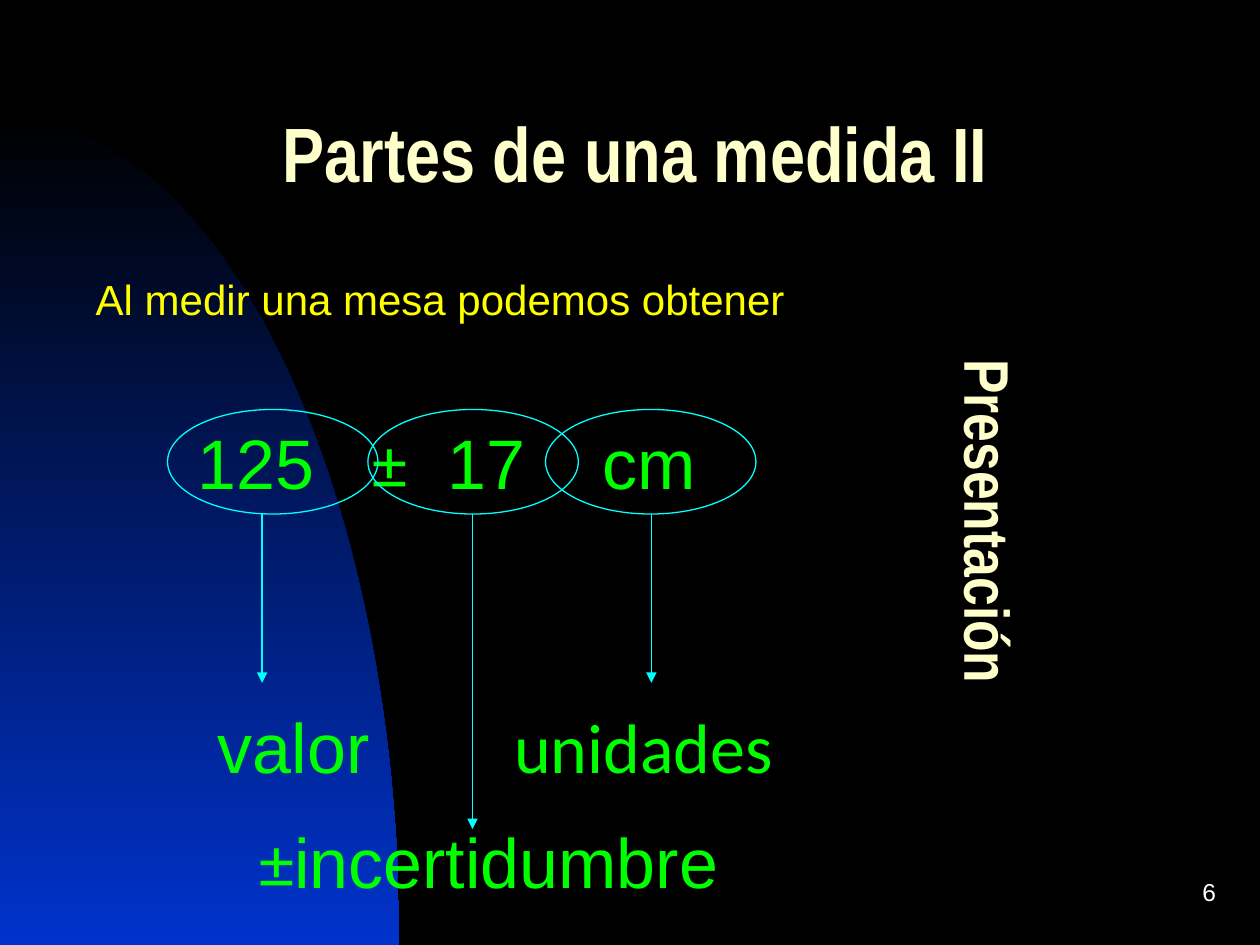
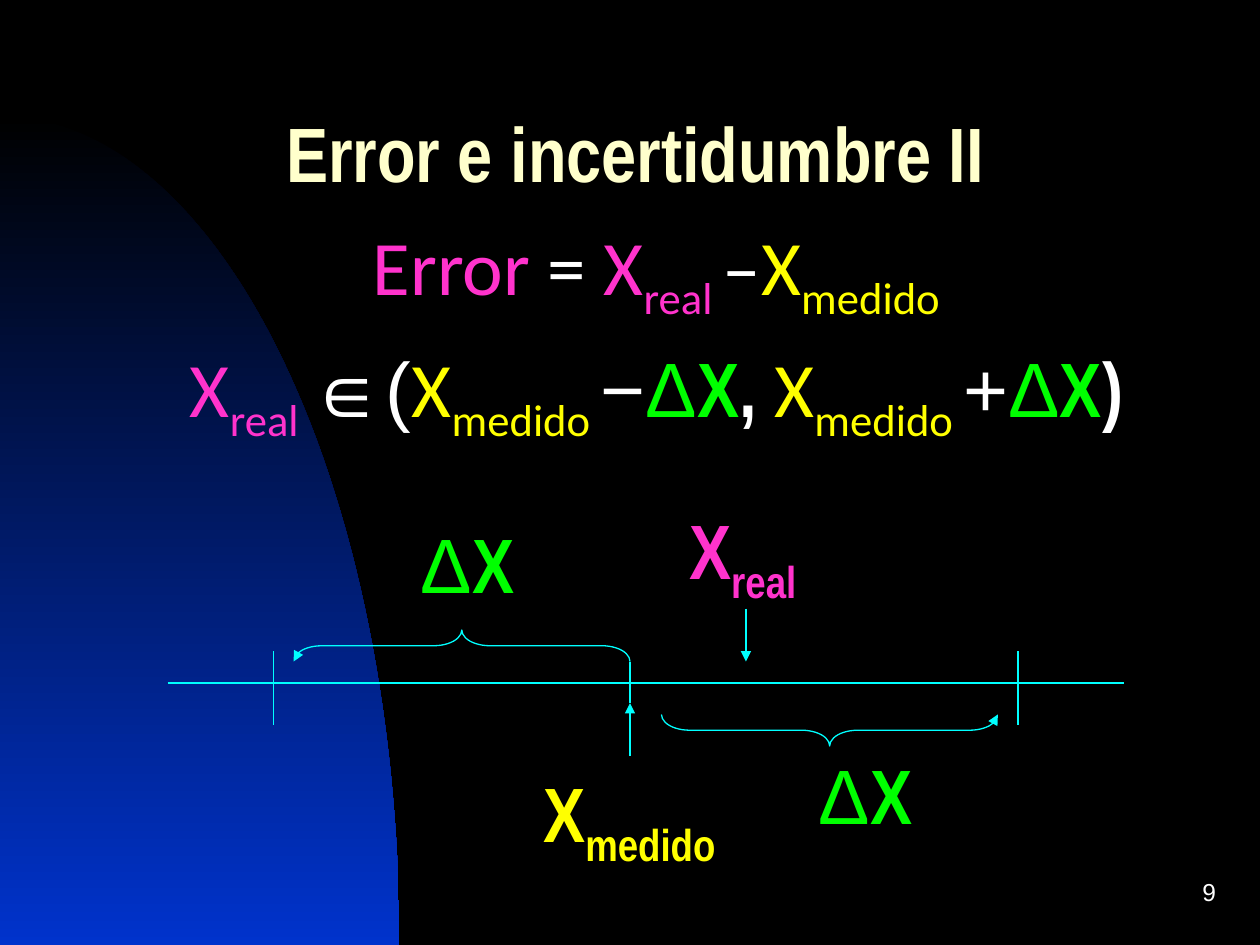
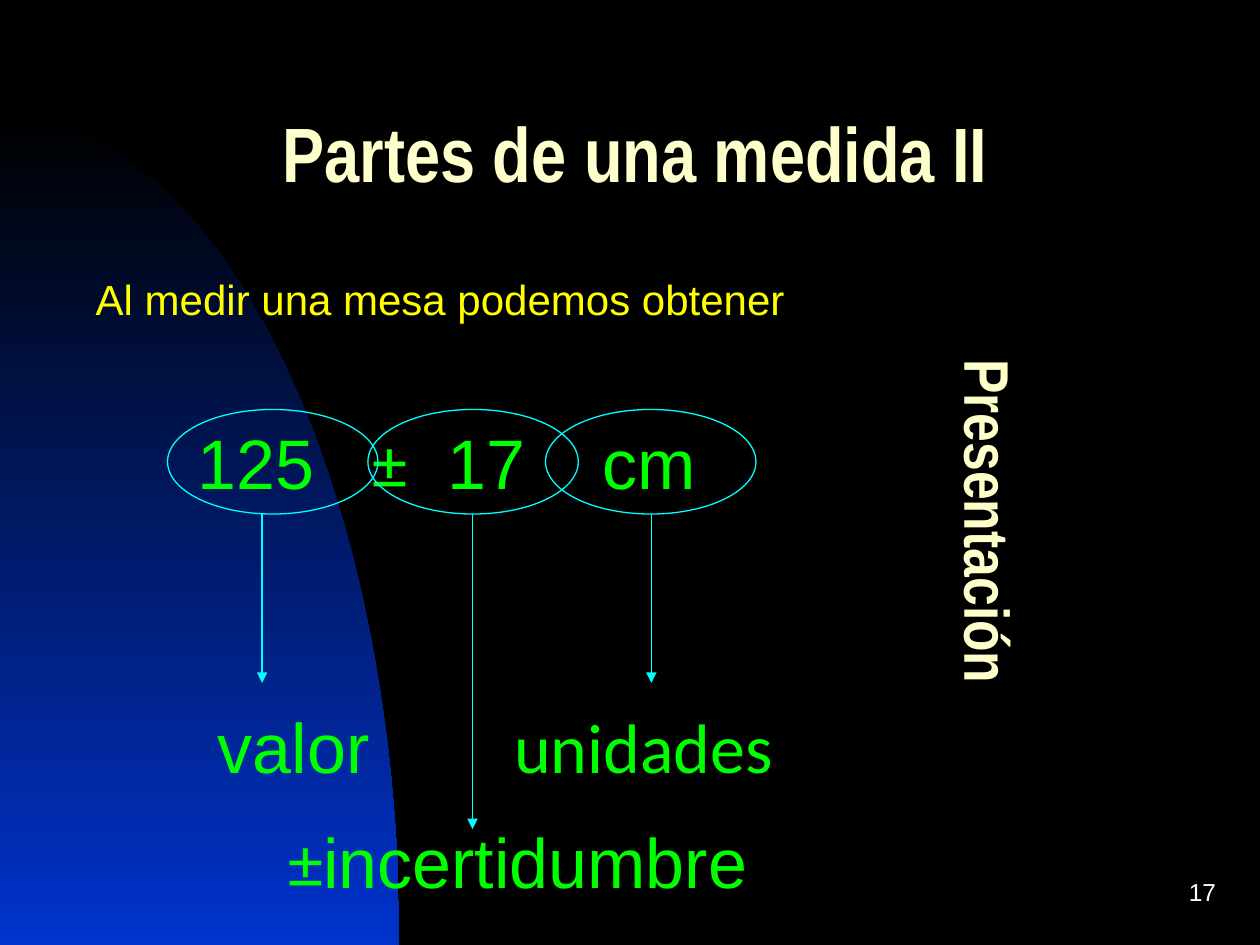
from math import cos, pi, sin

from lxml.etree import SubElement
from pptx import Presentation
from pptx.dml.color import RGBColor
from pptx.enum.shapes import MSO_CONNECTOR, MSO_SHAPE
from pptx.enum.text import MSO_ANCHOR, MSO_AUTO_SIZE, PP_ALIGN
from pptx.oxml.ns import qn
from pptx.util import Inches, Pt

BLACK = "000000"
BLUE = "0033CC"
WHITE = "FFFFFF"
CREAM = "FFFFCC"
YELLOW = "FFFF00"
GREEN = "00FF00"
MAGENTA = "FF33CC"
CYAN = "00FFFF"
SUBSCRIPT = -25000


def write_text(shape, *paragraphs, size=44, align=PP_ALIGN.LEFT, spacing=None, before=0,
               margins=(0, 0, 0, 0), anchor=MSO_ANCHOR.TOP, tabs=()):
    frame = shape.text_frame
    frame.word_wrap = True
    frame.auto_size = MSO_AUTO_SIZE.NONE
    frame.vertical_anchor = anchor
    frame.margin_left, frame.margin_top, frame.margin_right, frame.margin_bottom = map(Inches, margins)
    for index, runs in enumerate(paragraphs):
        paragraph = frame.add_paragraph() if index else frame.paragraphs[0]
        paragraph.alignment = align
        paragraph.line_spacing = spacing
        if index:
            paragraph.space_before = Pt(before)
        if tabs:
            tab_list = SubElement(paragraph._p.get_or_add_pPr(), qn("a:tabLst"))
            for position in tabs:
                SubElement(tab_list, qn("a:tab"), pos=str(Inches(position)), algn="l")
        for text, font, colour, *baseline in runs:
            run = paragraph.add_run()
            run.text = text
            run.font.name = font
            run.font.size = Pt(size)
            run.font.bold = font == "Arial Narrow"
            run.font.color.rgb = RGBColor.from_string(colour)
            if baseline:
                run._r.get_or_add_rPr().set("baseline", str(baseline[0]))


def draw_line(slide, start, end, width=0.75, arrow=False):
    line = slide.shapes.add_connector(MSO_CONNECTOR.STRAIGHT, *map(Inches, start + end))
    line.line.color.rgb = RGBColor.from_string(CYAN)
    line.line.width = Pt(width)
    if arrow:
        SubElement(line.line._get_or_add_ln(), qn("a:tailEnd"), type="triangle")
    SubElement(line._element.spPr, qn("a:effectLst"))


presentation = Presentation()
presentation.slide_width = Inches(10)
presentation.slide_height = Inches(7.5)
layout = presentation.slide_layouts[5]
background = presentation.slide_master.background.fill
background.solid()
background.fore_color.rgb = RGBColor.from_string(BLACK)

boxed = (0.1, 0.05, 0.1, 0.05)
slides = []
for title, number in [("Partes de una medida II", "6"),
                      ("Error e incertidumbre II", "9"),
                      ("Partes de una medida II", "17")]:
    slide = presentation.slides.add_slide(layout)
    slides.append(slide)
    heading = slide.shapes.title
    heading.left, heading.top, heading.width, heading.height = map(Inches, (0.42, 0.67, 9.25, 1.25))
    write_text(heading, [(title, "Arial Narrow", CREAM)], align=PP_ALIGN.CENTER, spacing=0.7,
               margins=boxed, anchor=MSO_ANCHOR.MIDDLE)
    page = slide.shapes.add_textbox(*map(Inches, (7.67, 6.83, 2.08, 0.5)))
    write_text(page, [(number, "Arial", WHITE)], size=14, align=PP_ALIGN.RIGHT,
               margins=boxed, anchor=MSO_ANCHOR.MIDDLE)

steps = 60
arc = [(Inches(3.17 * sin(pi / 2 * step / steps)), Inches(7.5 - 6.58 * cos(pi / 2 * step / steps)))
       for step in range(steps + 1)]
builder = slides[0].shapes.build_freeform(*arc[0])
builder.add_line_segments(arc[1:] + [(0, Inches(7.5))], close=True)
curve = builder.convert_to_shape()
curve.shadow.inherit = False
curve.line.fill.background()
curve.fill.gradient()
curve.fill.gradient_angle = 270
for stop, position, colour in zip(curve.fill.gradient_stops, (0, 1), (BLACK, BLUE)):
    stop.position = position
    stop.color.rgb = RGBColor.from_string(colour)
layout.shapes.element.insert(2, curve.element)

for slide, left, width, indent in [(slides[0], 2.06, 3.84, 0), (slides[2], 1.67, 4.92, 0.62)]:
    intro = slide.shapes.add_textbox(*map(Inches, (0.67, 2.17, 6.5, 0.4)))
    write_text(intro, [("Al medir una mesa podemos obtener", "Arial", YELLOW)], size=24,
               margins=(0.09, 0, 0, 0))

    measure = slide.shapes.add_textbox(*map(Inches, (1.42, 3.33, 4.92, 0.67)))
    write_text(measure, [("125\t", "Arial", GREEN), ("±", "Calibri", GREEN), ("\t17\tcm", "Arial", GREEN)],
               size=40, margins=(0.15, 0, 0, 0), tabs=(1.39, 1.98, 3.21))

    for ellipse_left, arrow_x, arrow_end in [(1.33, 2.08, 5.42), (2.92, 3.75, 6.58), (4.33, 5.17, 5.42)]:
        ellipse = slide.shapes.add_shape(MSO_SHAPE.OVAL, *map(Inches, (ellipse_left, 3.25, 1.67, 0.83)))
        ellipse.shadow.inherit = False
        ellipse.fill.background()
        ellipse.line.color.rgb = RGBColor.from_string(CYAN)
        ellipse.line.width = Pt(0.75)
        draw_line(slide, (arrow_x, 4.08), (arrow_x, arrow_end), arrow=True)

    for place, runs, inset in [
        ((1.58, 5.58, 1.58, 1.33), [("valor", "Arial", GREEN)], 0.15),
        ((3.83, 5.58, 2.75, 0.67), [("unidades", "Calibri", GREEN)], 0.25),
        ((left, 6.5, width, 0.67), [("±", "Calibri", GREEN), ("incertidumbre", "Arial", GREEN)], indent),
    ]:
        label = slide.shapes.add_textbox(*map(Inches, place))
        write_text(label, runs, size=40, margins=(inset, 0, 0, 0))

    side = slide.shapes.add_textbox(*map(Inches, (7.42, 2.75, 0.62, 4.25)))
    write_text(side, [("Presentación", "Arial Narrow", CREAM)], size=36, align=PP_ALIGN.CENTER,
               spacing=0.7, margins=(0.05, 0.1, 0.05, 0.1))
    side.text_frame._txBody.bodyPr.set("vert", "eaVert")

slide = slides[1]
draw_line(slide, (1.33, 5.42), (8.92, 5.42))
for limit in (2.17, 8.08):
    draw_line(slide, (limit, 5.17), (limit, 5.75))
draw_line(slide, (5, 5.25), (5, 5.58), width=1.5)
draw_line(slide, (5, 6), (5, 5.58), width=1.5, arrow=True)
draw_line(slide, (5.92, 4.83), (5.92, 5.25), width=1.5, arrow=True)

for left, top, rotation in [(3.54, 3.79, 90), (6.46, 4.46, 270)]:
    brace = slide.shapes.add_shape(MSO_SHAPE.LEFT_BRACE, *map(Inches, (left, top, 0.25, 2.67)))
    brace.adjustments[0] = 0.89
    brace.rotation = rotation
    brace.shadow.inherit = False
    brace.fill.background()
    brace.line.color.rgb = RGBColor.from_string(CYAN)
    brace.line.width = Pt(0.75)
    SubElement(brace.line._get_or_add_ln(), qn("a:headEnd"), type="triangle")

delta = [("Δ", "Arial", GREEN), ("X", "Arial Narrow", GREEN)]
real = [("X", "Calibri", MAGENTA), ("real ", "Calibri", MAGENTA, SUBSCRIPT)]
measured = [("X", "Calibri", YELLOW), ("medido", "Calibri", YELLOW, SUBSCRIPT)]
measured_spaced = [measured[0], ("medido ", "Calibri", YELLOW, SUBSCRIPT)]
error_formula = [("Error ", "Calibri", MAGENTA), ("= ", "Calibri", WHITE), *real,
                 ("–", "Calibri", WHITE), *measured]
interval_formula = [*real, ("∈(", "Arial", WHITE), *measured_spaced, ("−", "Arial", WHITE), *delta,
                    (", ", "Arial Narrow", WHITE), *measured_spaced, ("+", "Arial", WHITE), *delta,
                    (")", "Arial Narrow", WHITE)]
real_label = [("X", "Arial Narrow", MAGENTA), ("real", "Arial Narrow", MAGENTA, SUBSCRIPT)]
measured_label = [("X", "Arial Narrow", YELLOW), ("medido", "Arial Narrow", YELLOW, SUBSCRIPT)]

for place, paragraphs in [
    ((4.1, 6.17, 1.79, 0.69), [measured_label]),
    ((3.17, 4.25, 1.08, 0.61), [delta]),
    ((5, 4.08, 1.79, 0.69), [real_label]),
    ((6.33, 6.08, 1.08, 0.61), [delta]),
    ((0.75, 1.83, 8.92, 2.55), [error_formula, interval_formula]),
]:
    label = slide.shapes.add_textbox(*map(Inches, place))
    write_text(label, *paragraphs, align=PP_ALIGN.CENTER, spacing=0.7, before=27.5, margins=boxed)

presentation.save("out.pptx")
